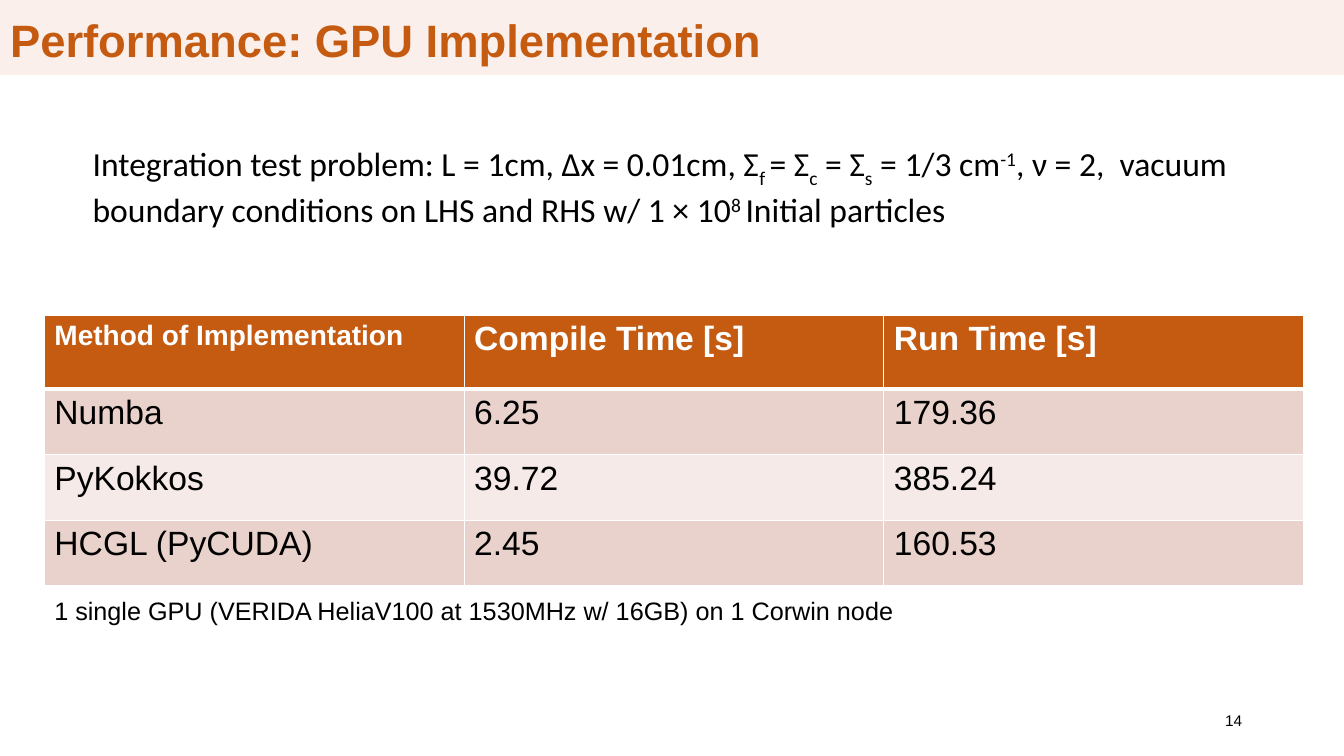
from dataclasses import dataclass

from lxml import etree
from pptx import Presentation
from pptx.dml.color import RGBColor
from pptx.enum.shapes import MSO_SHAPE
from pptx.enum.text import MSO_ANCHOR, MSO_AUTO_SIZE, PP_ALIGN
from pptx.oxml.ns import qn
from pptx.util import Inches, Pt

RECTANGLE = MSO_SHAPE.RECTANGLE
TOP, MIDDLE = MSO_ANCHOR.TOP, MSO_ANCHOR.MIDDLE
LEFT, RIGHT = PP_ALIGN.LEFT, PP_ALIGN.RIGHT
NO_AUTOFIT = MSO_AUTO_SIZE.NONE

ORANGE, BLUSH, WHITE, BLACK = "C55A11", "FAEFEA", "FFFFFF", "000000"
BAND_COLORS = ("EAD2CC", "F5EAE7")
SUBSCRIPT, SUPERSCRIPT = -25, 30
TITLE_ONLY_LAYOUT = 5


@dataclass
class Piece:
    text: str
    baseline: int = 0


@dataclass
class TextStyle:
    size: float
    color: str = BLACK
    bold: bool = False
    font: str = "Arial"


@dataclass
class Note:
    left: float
    top: float
    width: float
    height: float
    pieces: list[Piece]
    style: TextStyle
    anchor: MSO_ANCHOR = TOP
    align: PP_ALIGN = LEFT


def hex_color(value: str) -> RGBColor:
    return RGBColor.from_string(value)


def place(shape, left: float, top: float, width: float, height: float) -> None:
    shape.left, shape.top = Inches(left), Inches(top)
    shape.width, shape.height = Inches(width), Inches(height)


def paint(shape, line_width: float) -> None:
    shape.fill.solid()
    shape.fill.fore_color.rgb = hex_color(BLUSH)
    shape.line.color.rgb = hex_color(BLUSH)
    shape.line.width = Pt(line_width)


def add_run(paragraph, piece: Piece, style: TextStyle) -> None:
    run = paragraph.add_run()
    run.text = piece.text
    run.font.size = Pt(style.size)
    run.font.bold = style.bold
    run.font.name = style.font
    run.font.color.rgb = hex_color(style.color)
    if piece.baseline:
        run._r.get_or_add_rPr().set("baseline", str(piece.baseline * 1000))


def add_note(slide, note: Note) -> None:
    box = slide.shapes.add_textbox(Inches(note.left), Inches(note.top),
                                   Inches(note.width), Inches(note.height))
    box.text_frame.word_wrap = True
    box.text_frame.vertical_anchor = note.anchor
    paragraph = box.text_frame.paragraphs[0]
    paragraph.alignment = note.align
    for piece in note.pieces:
        add_run(paragraph, piece, note.style)


def set_borders(cell, widths: dict[str, float]) -> None:
    properties = cell._tc.get_or_add_tcPr()
    for position, (side, width) in enumerate(widths.items()):
        line = etree.Element(qn(f"a:ln{side}"), w=str(Pt(width)))
        fill = etree.SubElement(line, qn("a:solidFill"))
        etree.SubElement(fill, qn("a:srgbClr"), val=WHITE)
        properties.insert(position, line)


def add_title(slide) -> None:
    band = slide.shapes.add_shape(RECTANGLE, Inches(10.92), 0, Inches(2.42), Inches(0.74))
    band.shadow.inherit = False
    paint(band, 1)
    title = slide.shapes.title
    place(title, 0, 0, 11.57, 0.74)
    paint(title, 0.75)
    frame = title.text_frame
    frame.auto_size = NO_AUTOFIT
    frame.vertical_anchor = MIDDLE
    frame.margin_top, frame.margin_bottom = Inches(0.1), 0
    paragraph = frame.paragraphs[0]
    paragraph.alignment = LEFT
    paragraph.line_spacing = 0.9
    add_run(paragraph, Piece("Performance: GPU Implementation"),
            TextStyle(32.4, ORANGE, True))


def add_timing_table(slide, rows: list[tuple[str, str, str]]) -> None:
    frame = slide.shapes.add_table(len(rows), len(rows[0]), Inches(0.44), Inches(3.13),
                                   Inches(12.49), Inches(2.67))
    table = frame.table
    for row_index, values in enumerate(rows):
        header = row_index == 0
        table.rows[row_index].height = Inches(0.73 if header else 0.65)
        for column_index, value in enumerate(values):
            cell = table.cell(row_index, column_index)
            cell.fill.solid()
            cell.fill.fore_color.rgb = hex_color(
                ORANGE if header else BAND_COLORS[(row_index - 1) % 2])
            set_borders(cell, {"L": 1, "R": 1, "T": 3 if row_index == 1 else 1,
                               "B": 3 if header else 1})
            size = 20 if header and column_index == 0 else 24
            add_run(cell.text_frame.paragraphs[0], Piece(value),
                    TextStyle(size, WHITE if header else BLACK, header))


TIMINGS = [
    ("Method of Implementation", "Compile Time [s]", "Run Time [s]"),
    ("Numba", "6.25", "179.36"),
    ("PyKokkos", "39.72", "385.24"),
    ("HCGL (PyCUDA)", "2.45", "160.53"),
]

PROBLEM = [
    Piece("Integration test problem: L = 1cm, Δx = 0.01cm, Σ"),
    Piece("f ", SUBSCRIPT),
    Piece("= Σ"),
    Piece("c", SUBSCRIPT),
    Piece(" = Σ"),
    Piece("s", SUBSCRIPT),
    Piece(" = 1/3 cm"),
    Piece("-1", SUPERSCRIPT),
    Piece(", ν = 2,  vacuum boundary conditions on LHS and RHS w/ 1 × 10"),
    Piece("8 ", SUPERSCRIPT),
    Piece("Initial particles"),
]

HARDWARE = [Piece("1 single GPU (VERIDA HeliaV100 at 1530MHz w/ 16GB) on 1 Corwin node")]

NOTES = [
    Note(0.44, 5.86, 11.66, 0.4, HARDWARE, TextStyle(18)),
    Note(9.42, 6.95, 3, 0.4, [Piece("14")], TextStyle(11), MIDDLE, RIGHT),
    Note(0.82, 1.37, 12.14, 0.91, PROBLEM, TextStyle(24, font="Calibri")),
]


def main() -> None:
    presentation = Presentation()
    presentation.slide_width, presentation.slide_height = Inches(13.33), Inches(7.5)
    slide = presentation.slides.add_slide(presentation.slide_layouts[TITLE_ONLY_LAYOUT])

    # Title band
    add_title(slide)
    # Timing results
    add_timing_table(slide, TIMINGS)
    # Hardware, page number and test problem
    for note in NOTES:
        add_note(slide, note)

    presentation.save("out.pptx")


if __name__ == "__main__":
    main()
